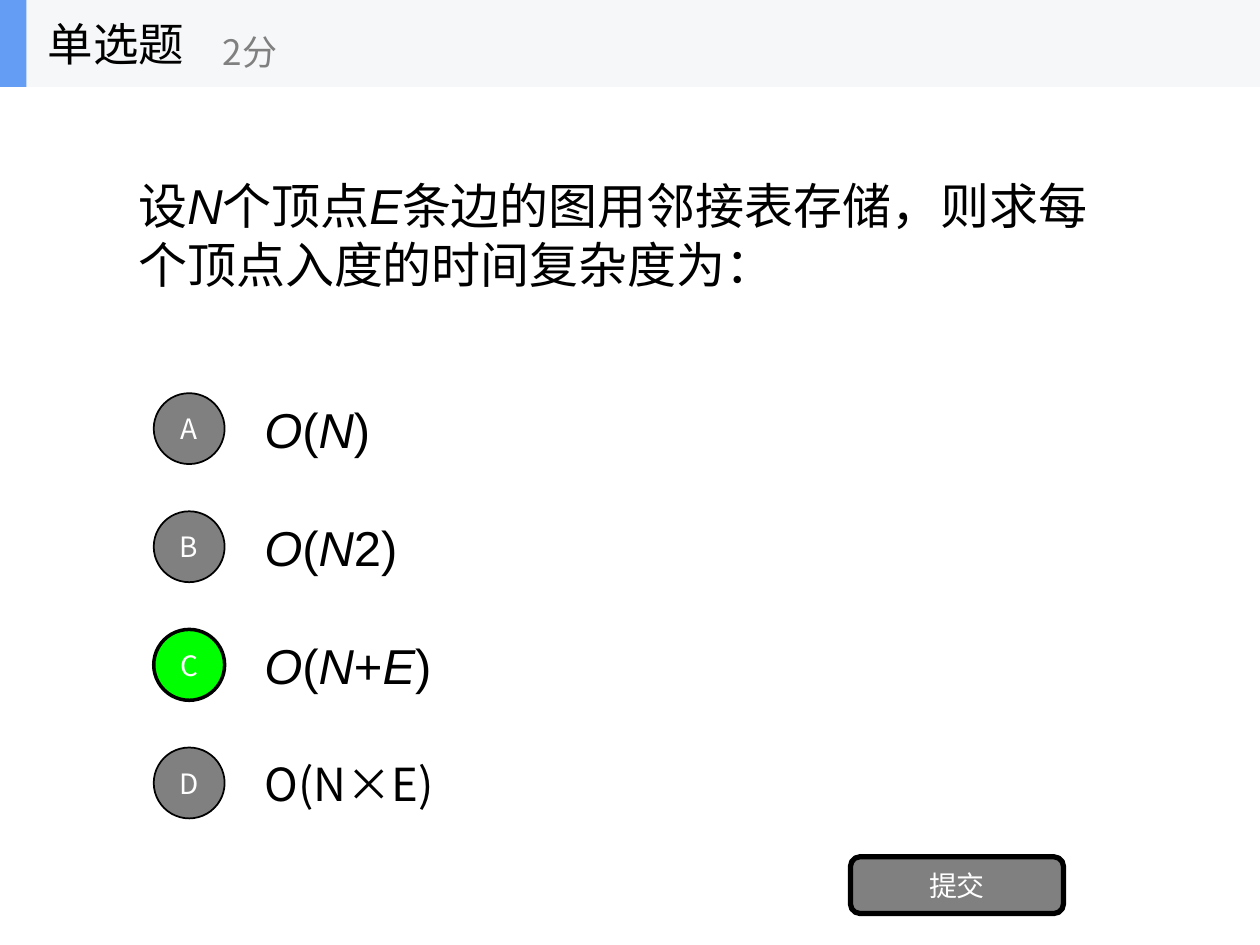
from lxml import etree
from pptx import Presentation
from pptx.dml.color import RGBColor
from pptx.enum.shapes import MSO_SHAPE
from pptx.enum.text import MSO_ANCHOR, PP_ALIGN
from pptx.oxml.ns import qn
from pptx.util import Inches, Pt

RECT, OVAL, ROUND = MSO_SHAPE.RECTANGLE, MSO_SHAPE.OVAL, MSO_SHAPE.ROUNDED_RECTANGLE
MIDDLE = MSO_ANCHOR.MIDDLE
LEFT, CENTER = PP_ALIGN.LEFT, PP_ALIGN.CENTER
SANS, LATIN = "Noto Sans CJK SC", "Arial"
WIDE, HIGH = 10, 7.5
BLACK, WHITE, GRAY, GREEN = "000000", "FFFFFF", "808080", "00FF00"


def color(text):
    return RGBColor.from_string(text)


def write(shape, text, size, ink=BLACK, face=SANS, align=LEFT):
    """Fill the shape with text; parts between asterisks are italic."""
    frame = shape.text_frame
    frame.word_wrap = True
    frame.vertical_anchor = MIDDLE
    para = frame.paragraphs[0]
    para.alignment = align
    para.font.size = Pt(size)
    para.font.name = face
    para.font.color.rgb = color(ink)
    latin = para._p.pPr.find(qn("a:defRPr")).find(qn("a:latin"))
    east = etree.Element(qn("a:ea"), typeface=SANS)
    latin.addnext(east)
    for i, part in enumerate(text.split("*")):
        if part:
            run = para.add_run()
            run.text = part
            if i % 2:
                run.font.italic = True


def add_text(slide, box, *args, **style):
    write(slide.shapes.add_textbox(*map(Inches, box)), *args, **style)


def add_block(slide, kind, box, fill, line=0):
    shape = slide.shapes.add_shape(kind, *map(Inches, box))
    shape.shadow.inherit = False
    shape.fill.solid()
    shape.fill.fore_color.rgb = color(fill)
    if line:
        shape.line.color.rgb = color(BLACK)
        shape.line.width = Pt(line)
    else:
        shape.line.fill.background()
    return shape


def add_button(slide, kind, box, text, fill, line):
    shape = add_block(slide, kind, box, fill, line)
    frame = shape.text_frame
    frame.margin_left = frame.margin_right = 0
    write(shape, text, 16, WHITE, align=CENTER)


def add_header(slide, box):
    x, y, w, h = box
    add_block(slide, RECT, box, "F6F7F8")
    add_block(slide, RECT, (x, y, 0.021 * w, h), "639EF4")
    add_text(slide, (x + 0.028 * w, y, 0.208 * w, h), "单选题", 26)
    add_text(slide, (x + 0.167 * w, y + 0.18 * h, 0.25 * w, 0.82 * h), "2分", 20, GRAY)


def add_choices(slide, box, choices, right):
    x, y, w, h = box
    step = h / len(choices)
    row, dot = 0.75 * step, 0.6 * step
    for i, (text, size, face) in enumerate(choices):
        top = y + i * step
        add_text(slide, (x + w / 8, top, w * 7 / 8, row), text, size, face=face)
        mark = chr(ord("A") + i)
        fill, line = (GREEN, 2) if mark == right else (GRAY, 1)
        spot = (x + 0.22, top + (row - dot) / 2, dot, dot)
        add_button(slide, OVAL, spot, mark, fill, line)


def main():
    deck = Presentation()
    deck.slide_width, deck.slide_height = Inches(WIDE), Inches(HIGH)
    slide = deck.slides.add_slide(deck.slide_layouts[6])
    bar = 0.69
    add_text(slide, (WIDE / 10, bar, WIDE * 0.8, 2.34),
             "设*N*个顶点*E*条边的图用邻接表存储，则求每个顶点入度的时间复杂度为：",
             28, face=LATIN)
    choices = [
        ("*O*(*N*)", 28, LATIN),
        ("*O*(*N*2)", 28, LATIN),
        ("*O*(*N*+*E*)", 28, LATIN),
        ("O(N×E)", 26, SANS),
    ]
    add_choices(slide, (WIDE / 10, 3.05, WIDE * 0.8, HIGH / 2), choices, "C")
    add_button(slide, ROUND, (6.75, 6.8, 1.69, 0.45), "提交", GRAY, 3)
    add_header(slide, (0, 0, WIDE, bar))
    deck.save("out.pptx")


if __name__ == "__main__":
    main()
